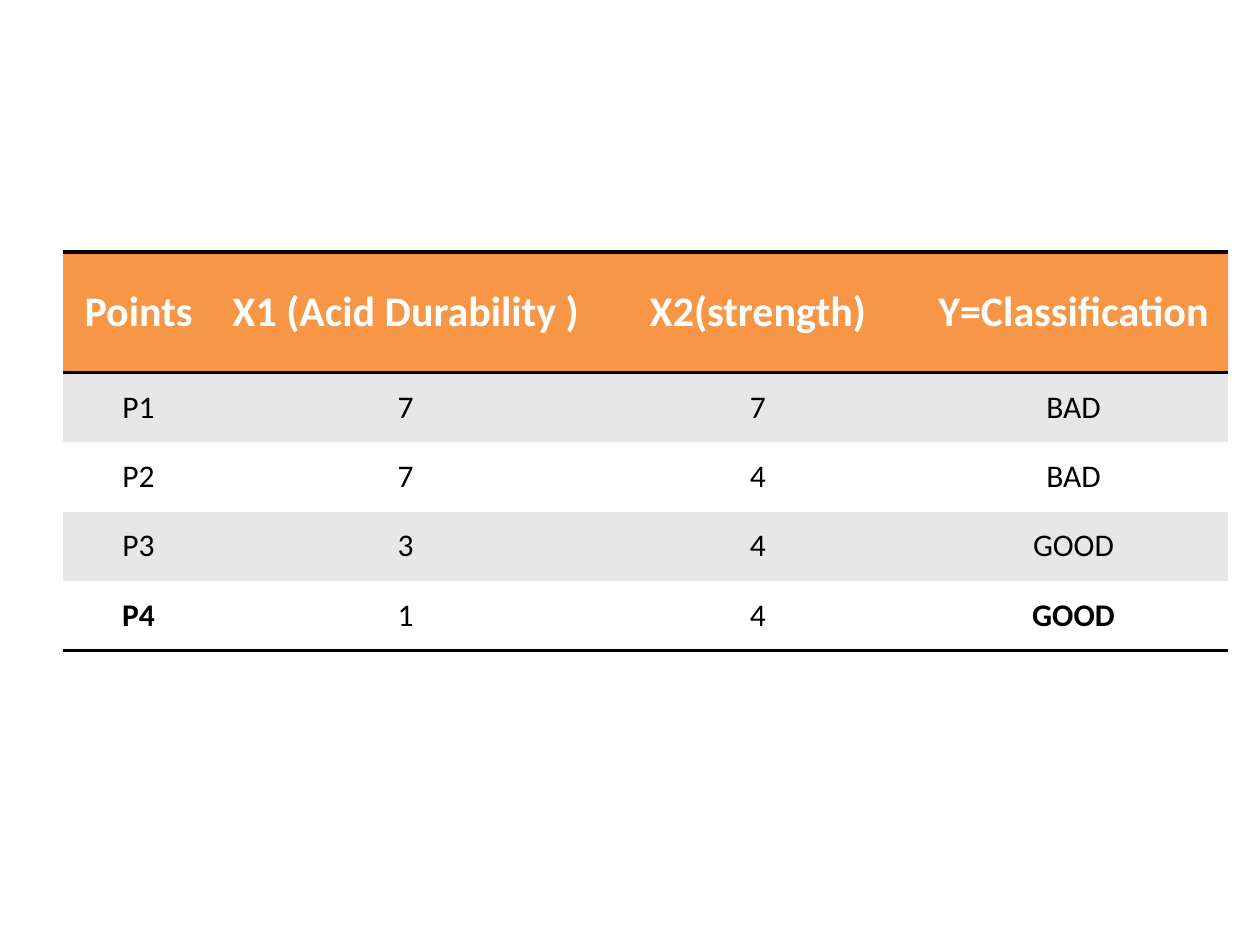
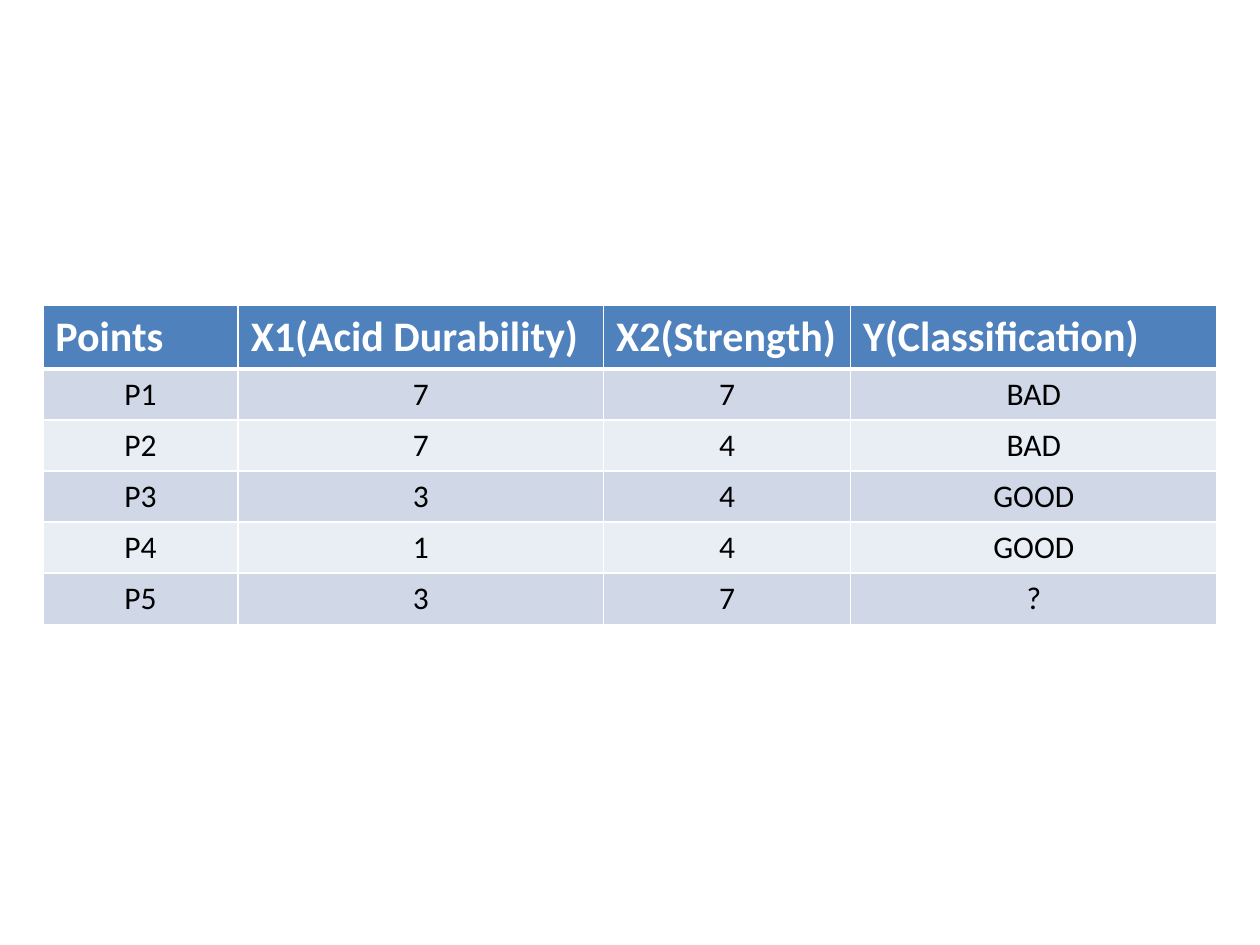
from lxml import etree
from pptx import Presentation
from pptx.dml.color import RGBColor
from pptx.enum.text import MSO_ANCHOR as ANCHOR, PP_ALIGN as ALIGN
from pptx.oxml.ns import qn
from pptx.util import Inches, Pt

# Shared style
FONT = "Calibri"
WHITE = RGBColor(0xFF, 0xFF, 0xFF)
BLACK = RGBColor(0x00, 0x00, 0x00)
ORANGE = RGBColor(0xF7, 0x96, 0x46)
GREY = RGBColor(0xE7, 0xE7, 0xE7)
BLUE = RGBColor(0x4F, 0x81, 0xBD)
BLUE_DARK_BAND = RGBColor(0xD0, 0xD8, 0xE8)
BLUE_LIGHT_BAND = RGBColor(0xE9, 0xED, 0xF4)

POINTS = [
    ("P1", "7", "7", "BAD"),
    ("P2", "7", "4", "BAD"),
    ("P3", "3", "4", "GOOD"),
    ("P4", "1", "4", "GOOD"),
]


class Deck:
    """Holds the style and the current slide."""

    def __init__(self):
        self.prs = Presentation()
        self.prs.slide_width = Inches(10)
        self.prs.slide_height = Inches(7.5)
        self.s = None

    def add_slide(self):
        self.s = self.prs.slides.add_slide(self.prs.slide_layouts[6])

    def style_text(self, p, size, color, bold):
        for r in p.runs:
            r.font.name = FONT
            r.font.size = Pt(size)
            r.font.bold = bold
            r.font.color.rgb = color

    def border(self, cell, side, width, color):
        """Draw one cell edge; a width of 0 hides it."""
        tc_pr = cell._tc.get_or_add_tcPr()
        ln = etree.SubElement(tc_pr, qn("a:ln" + side), w=str(Pt(width)))
        if width:
            fill = etree.SubElement(ln, qn("a:solidFill"))
            etree.SubElement(fill, qn("a:srgbClr"), val=str(color))
        else:
            etree.SubElement(ln, qn("a:noFill"))

    def table(self, left, top, col_widths, row_heights, rows, header_fill, bands,
              line_color, row_lines, col_line, header_align=ALIGN.CENTER,
              header_anchor=ANCHOR.MIDDLE, bold_cells=()):
        """row_lines gives the line widths above, between and below the rows."""
        tbl = self.s.shapes.add_table(
            len(rows), len(col_widths), Inches(left), Inches(top),
            Inches(sum(col_widths)), Inches(sum(row_heights))).table
        for col, width in zip(tbl.columns, col_widths):
            col.width = Inches(width)
        for i, (values, height) in enumerate(zip(rows, row_heights)):
            tbl.rows[i].height = Inches(height)
            header = i == 0
            edges = {"L": col_line, "R": col_line,
                     "T": row_lines[i], "B": row_lines[i + 1]}
            for j, value in enumerate(values):
                cell = tbl.cell(i, j)
                for side, width in edges.items():
                    self.border(cell, side, width, line_color)
                cell.fill.solid()
                cell.fill.fore_color.rgb = header_fill if header else bands[(i - 1) % 2]
                cell.vertical_anchor = header_anchor if header else ANCHOR.MIDDLE
                cell.text_frame.text = value
                p = cell.text_frame.paragraphs[0]
                p.alignment = header_align if header else ALIGN.CENTER
                self.style_text(p, 24 if header else 18, WHITE if header else BLACK,
                                header or (i, j) in bold_cells)


def main():
    deck = Deck()

    # Training points
    deck.add_slide()
    header = ("Points", "X1 (Acid Durability )", "X2(strength)", "Y=Classification")
    deck.table(0.5, 2, [1.2, 3.04, 2.55, 2.46], [0.96] + [0.55] * 4,
               [header] + POINTS, ORANGE, (GREY, WHITE),
               BLACK, [2, 2, 0, 0, 0, 2], 0, bold_cells=((4, 0), (4, 3)))

    # Points with the one to classify
    deck.add_slide()
    header = ("Points", "X1(Acid Durability)", "X2(Strength)", "Y(Classification)")
    deck.table(0.34, 2.42, [1.55, 2.9, 1.96, 2.91], [0.4] * 6,
               [header] + POINTS + [("P5", "3", "7", "?")],
               BLUE, (BLUE_DARK_BAND, BLUE_LIGHT_BAND),
               WHITE, [1, 3, 1, 1, 1, 1, 1], 1,
               header_align=ALIGN.LEFT, header_anchor=ANCHOR.TOP)

    deck.prs.save("out.pptx")


if __name__ == "__main__":
    main()
